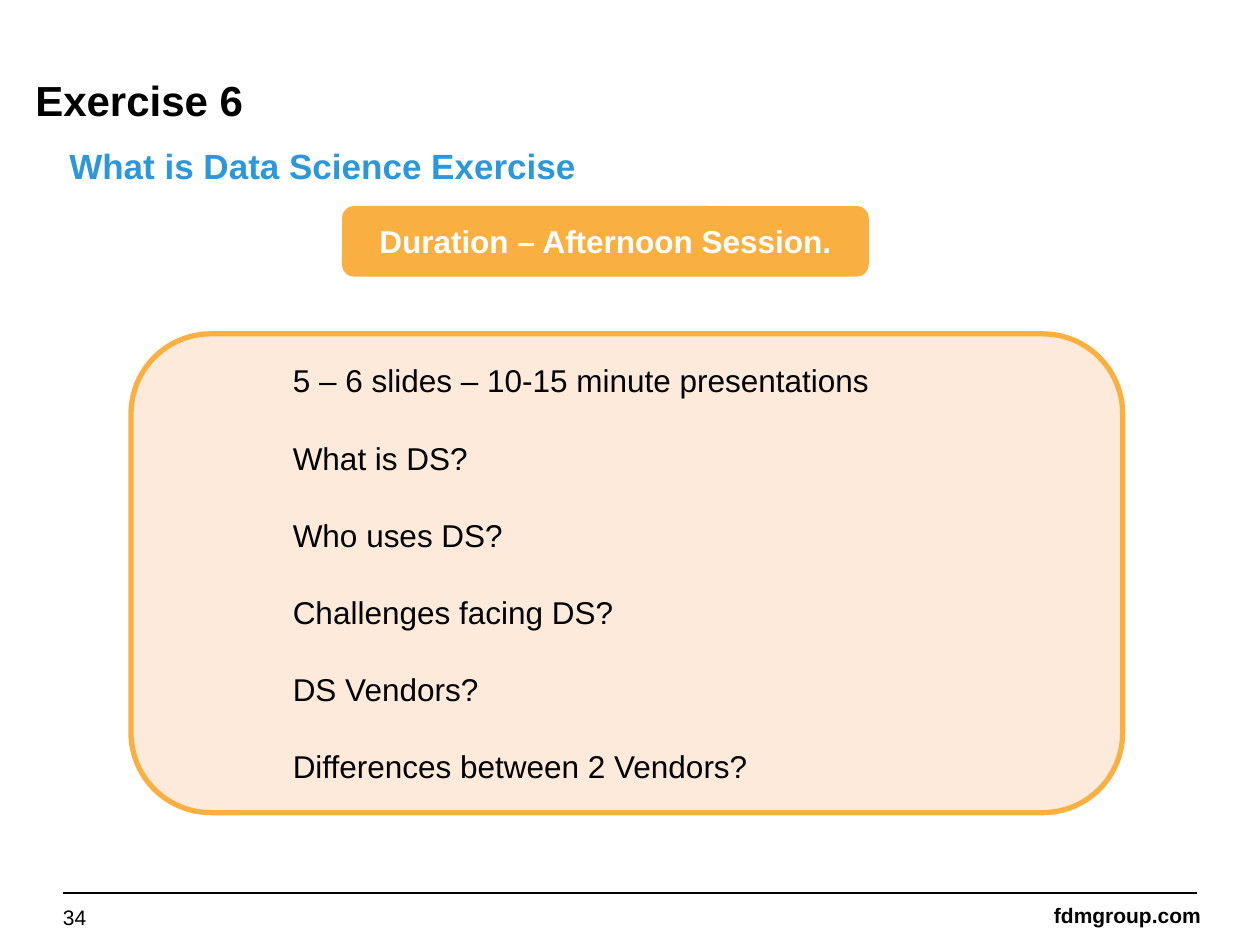
from dataclasses import dataclass

from pptx import Presentation
from pptx.dml.color import RGBColor
from pptx.enum.shapes import MSO_CONNECTOR, MSO_SHAPE
from pptx.enum.text import MSO_ANCHOR, PP_ALIGN
from pptx.oxml.ns import qn
from pptx.util import Inches, Pt
from lxml.etree import SubElement


@dataclass(frozen=True)
class Theme:
    font: str = "Arial"
    black: str = "000000"
    white: str = "FFFFFF"
    blue: str = "2D98D9"
    orange: str = "FAB041"
    peach: str = "FDEADA"
    title: int = 24
    subtitle: int = 20
    body: int = 18
    footer: int = 12


THEME = Theme()
QUESTIONS = [
    "5 – 6 slides – 10-15 minute presentations",
    "What is DS?",
    "Who uses DS?",
    "Challenges facing DS?",
    "DS Vendors?",
    "Differences between 2 Vendors?",
]


def rgb(code):
    return RGBColor.from_string(code)


def place(shape, left, top, width, height):
    shape.left, shape.top = Inches(left), Inches(top)
    shape.width, shape.height = Inches(width), Inches(height)


def style(paragraph, size, color, bold=False, align=PP_ALIGN.LEFT):
    paragraph.alignment = align
    font = paragraph.font
    font.name, font.size, font.bold = THEME.font, Pt(size), bold
    font.color.rgb = rgb(color)


def set_frame(frame, anchor, inset=None, wrap=True):
    frame.word_wrap = wrap
    frame.vertical_anchor = anchor
    if inset is not None:
        frame.margin_left = frame.margin_right = Inches(inset)
        frame.margin_top = frame.margin_bottom = Inches(inset)


def add_title(slide, text):
    title = slide.shapes.title
    place(title, 0.2, 0.51, 9.2, 0.55)
    set_frame(title.text_frame, MSO_ANCHOR.TOP, 0.08)
    title.text_frame.text = text
    style(title.text_frame.paragraphs[0], THEME.title, THEME.black, bold=True)


def add_label(slide, text, box, size, color, anchor=MSO_ANCHOR.MIDDLE,
              inset=None, wrap=True, bold=False, align=PP_ALIGN.LEFT):
    label = slide.shapes.add_textbox(*map(Inches, box))
    set_frame(label.text_frame, anchor, inset, wrap)
    label.text_frame.text = text
    style(label.text_frame.paragraphs[0], size, color, bold, align)


def add_panel(slide, box, fill, line_width):
    panel = slide.shapes.add_shape(MSO_SHAPE.ROUNDED_RECTANGLE, *map(Inches, box))
    panel.shadow.inherit = False
    panel.fill.solid()
    panel.fill.fore_color.rgb = rgb(fill)
    panel.line.color.rgb = rgb(THEME.orange)
    panel.line.width = Pt(line_width)
    set_frame(panel.text_frame, MSO_ANCHOR.MIDDLE)
    return panel.text_frame


def add_questions(frame, questions):
    for index, question in enumerate(questions):
        paragraph = frame.add_paragraph() if index else frame.paragraphs[0]
        paragraph.text = question
        paragraph.level = 2
        properties = paragraph._p.get_or_add_pPr()
        properties.set("marL", str(Inches(1)))
        properties.set("indent", "0")
        if index:
            paragraph.space_before = Pt(22.5)
        style(paragraph, THEME.body, THEME.black)


def add_rule(slide, left, right, y):
    rule = slide.shapes.add_connector(
        MSO_CONNECTOR.STRAIGHT, Inches(left), Inches(y), Inches(right), Inches(y))
    rule.line.color.rgb = rgb(THEME.black)
    rule.line.width = Pt(1)
    SubElement(rule._element.spPr, qn("a:effectLst"))


def main():
    deck = Presentation()
    deck.slide_width, deck.slide_height = Inches(10), Inches(7.5)
    slide = deck.slides.add_slide(deck.slide_layouts[5])

    # Footer
    add_label(slide, "fdmgroup.com", (8.25, 7.11, 1.38, 0.3), THEME.footer,
              THEME.black, wrap=False, bold=True, align=PP_ALIGN.RIGHT)
    add_rule(slide, 0.5, 9.5, 7.09)
    add_label(slide, "34", (0.5, 7.18, 2.33, 0.2), THEME.footer, THEME.black, inset=0)

    # Headings
    add_title(slide, "Exercise 6")
    add_label(slide, "What is Data Science Exercise", (0.47, 1.07, 6.97, 0.5),
              THEME.subtitle, THEME.blue, MSO_ANCHOR.TOP, inset=0.08, bold=True)

    # Exercise brief
    brief = add_panel(slide, (1.04, 2.65, 7.87, 3.8), THEME.peach, 3)
    add_questions(brief, QUESTIONS)

    # Duration banner
    duration = add_panel(slide, (2.72, 1.64, 4.17, 0.55), THEME.orange, 0.75)
    duration.text = "Duration – Afternoon Session."
    style(duration.paragraphs[0], THEME.body, THEME.white, bold=True,
          align=PP_ALIGN.CENTER)

    deck.save("out.pptx")


if __name__ == "__main__":
    main()
